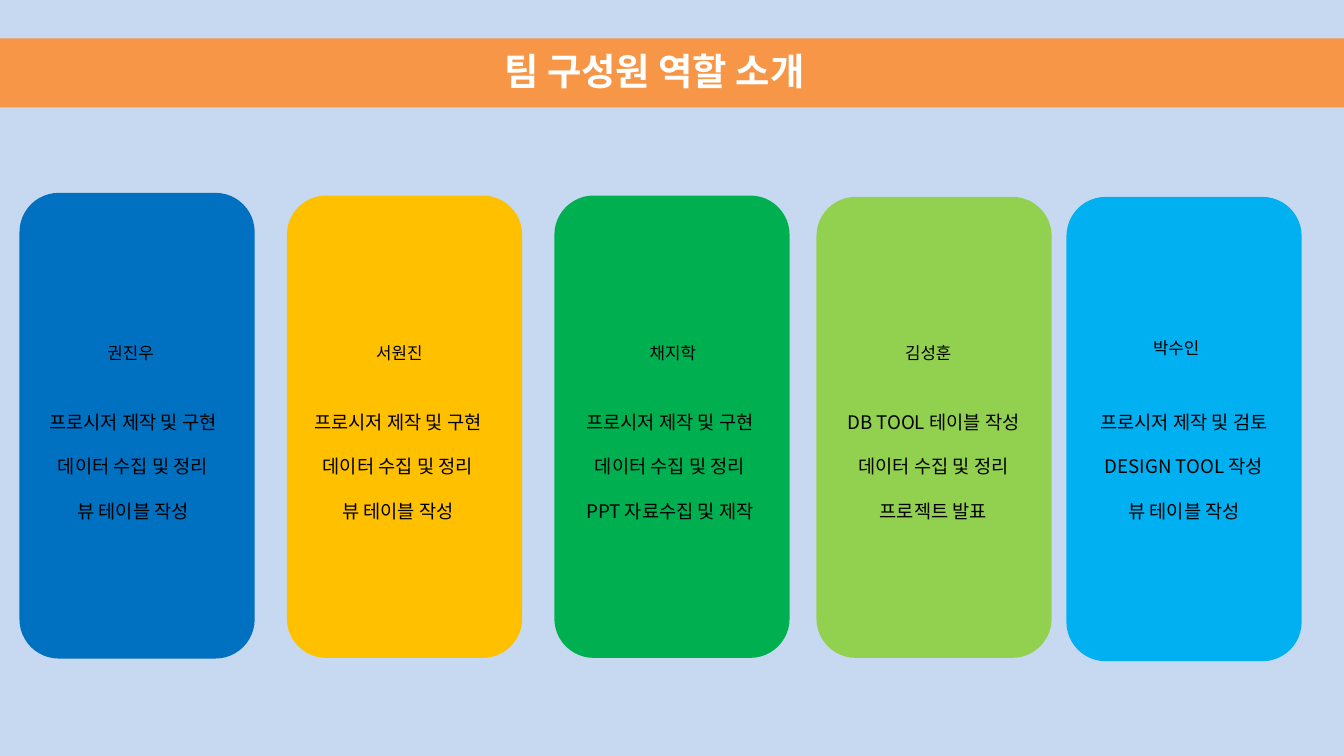
import pptx
import pptx.dml.color
import pptx.enum.shapes
import pptx.enum.text
import pptx.util

Inches, Pt = pptx.util.Inches, pptx.util.Pt
SHAPE = pptx.enum.shapes.MSO_SHAPE
ALIGN = pptx.enum.text.PP_ALIGN

COLORS = {
    "background": "C6D9F1", "band": "F79646", "title": "FFFFFF", "text": "000000",
    "blue": "0070C0", "amber": "FFC000", "green": "00B050",
    "lime": "92D050", "sky": "00B0F0",
}
FORMATS = {
    "title": {"size": Pt(40), "bold": True},
    "name": {"size": Pt(18)},
    "role": {"size": Pt(20)},
}
ROLE_SPACING = {"alignment": ALIGN.CENTER, "line_spacing": Pt(27)}
CARD_WIDTH = 3.5

BUILD = "프로시저 제작 및 구현"
DATA = "데이터 수집 및 정리"
VIEW = "뷰 테이블 작성"

# name, colour, card (left, top, height), name (left, top), roles left, roles
MEMBERS = [
    ("권진우", "blue", (0.29, 2.87, 6.93), (1.5, 5.05), 0.45, [BUILD, DATA, VIEW]),
    ("서원진", "amber", (4.27, 2.91, 6.88), (5.5, 5.05), 4.39, [BUILD, DATA, VIEW]),
    ("채지학", "green", (8.25, 2.91, 6.88), (9.57, 5.05), 8.44,
     [BUILD, DATA, "PPT 자료수집 및 제작"]),
    ("김성훈", "lime", (12.15, 2.93, 6.86), (13.37, 5.05), 12.36,
     ["DB TOOL 테이블 작성", DATA, "프로젝트 발표"]),
    ("박수인", "sky", (15.87, 2.93, 6.91), (17.06, 4.98), 16.09,
     ["프로시저 제작 및 검토", "DESIGN TOOL 작성", VIEW]),
]


class Deck:
    font = "Noto Sans CJK KR"

    def __init__(self, slide):
        self.s = slide

    def color(self, key):
        return pptx.dml.color.RGBColor.from_string(COLORS[key])

    def background(self, key):
        fill = self.s.background.fill
        fill.solid()
        fill.fore_color.rgb = self.color(key)

    def block(self, kind, box, key):
        sp = self.s.shapes.add_shape(kind, *map(Inches, box))
        sp.shadow.inherit = False
        sp.fill.solid()
        sp.fill.fore_color.rgb = self.color(key)
        sp.line.fill.background()

    def text(self, box, lines, style, color="text", wrap=True, spacing=None, gap=0):
        tf = self.s.shapes.add_textbox(*map(Inches, box)).text_frame
        tf.word_wrap = wrap
        tf.vertical_anchor = pptx.enum.text.MSO_ANCHOR.MIDDLE
        for i, line in enumerate(lines):
            p = tf.add_paragraph() if i else tf.paragraphs[0]
            for attr, value in (spacing or {}).items():
                setattr(p, attr, value)
            if i:
                p.space_before = Pt(gap)
            r = p.add_run()
            r.text = line
            r.font.color.rgb = self.color(color)
            for attr, value in {"name": self.font, **FORMATS[style]}.items():
                setattr(r.font, attr, value)


def main():
    prs = pptx.Presentation()
    prs.slide_width, prs.slide_height = Inches(20), Inches(11.25)
    deck = Deck(prs.slides.add_slide(prs.slide_layouts[6]))
    deck.background("background")

    # Title band
    deck.block(SHAPE.RECTANGLE, (0, 0.57, 20, 1.03), "band")
    deck.text((7.41, 0.66, 5.28, 0.77), ["팀 구성원 역할 소개"], "title", "title")

    # One card per team member
    for name, key, (left, top, height), name_at, roles_left, roles in MEMBERS:
        deck.block(SHAPE.ROUNDED_RECTANGLE, (left, top, CARD_WIDTH, height), key)
        deck.text((*name_at, 0.96, 0.4), [name], "name", wrap=False)
        deck.text((roles_left, 6.03, 3.06, 1.78), roles, "role",
                  spacing=ROLE_SPACING, gap=20.7)

    prs.save("out.pptx")


if __name__ == "__main__":
    main()
